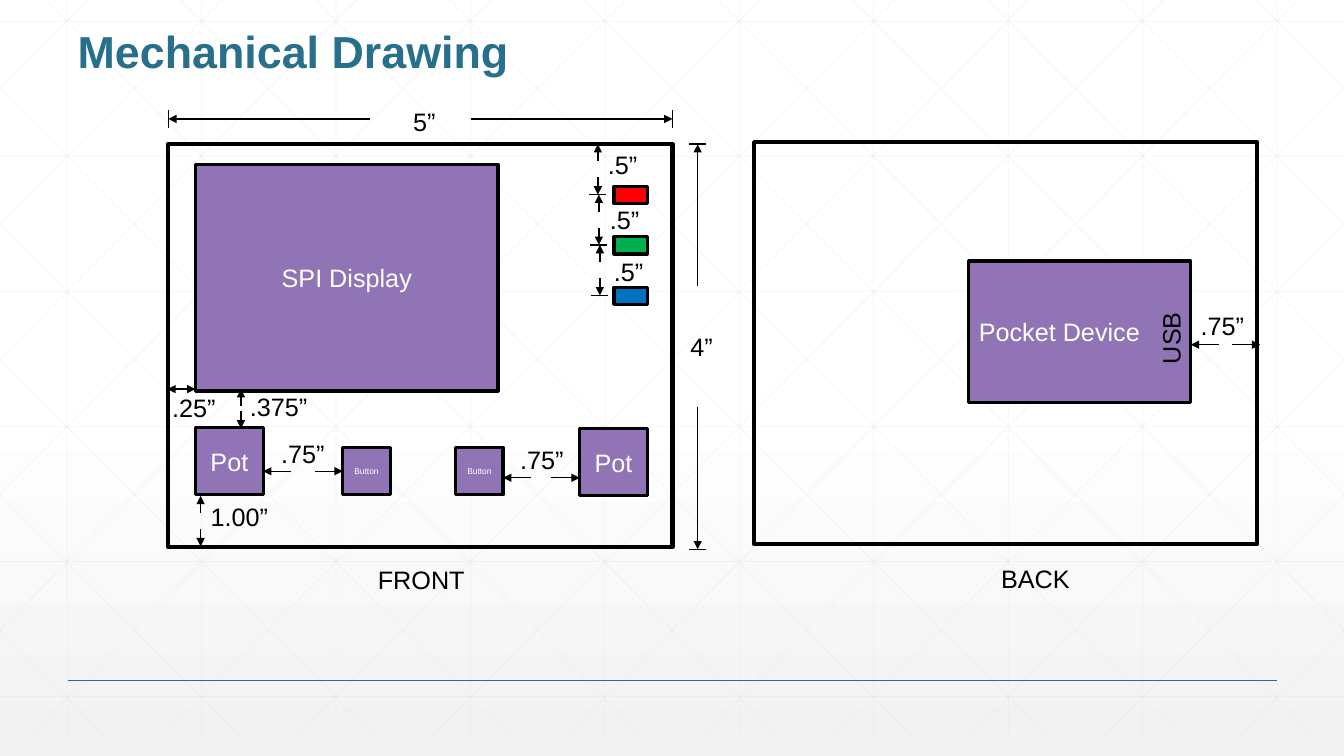
"""Build the slide with the front and back panel drawing."""
from dataclasses import dataclass

from lxml.etree import SubElement
from pptx import Presentation
from pptx.dml.color import RGBColor
from pptx.enum.shapes import MSO_CONNECTOR, MSO_SHAPE
from pptx.enum.text import MSO_ANCHOR, MSO_AUTO_SIZE, PP_ALIGN
from pptx.oxml.ns import qn
from pptx.util import Inches, Pt


@dataclass(frozen=True)
class Theme:
    """Hold the colours, font and type sizes of the slide."""
    font: str = "Arial"
    teal: str = "276F8B"
    purple: str = "9074B6"
    black: str = "000000"
    white: str = "FFFFFF"
    pale: str = "F2F2F2"
    gray: str = "D9D9D9"
    lamps: tuple = ("FF0000", "00B050", "0070C0")
    title: int = 32
    body: int = 18
    small: int = 6


THEME = Theme()
WIDE, HIGH = 13.33, 7.5
TOP = -0.21
STEP = 4 / 3
RUN = 7.45


def write(frame, text, size=THEME.body, color=THEME.black, bold=False,
          align=PP_ALIGN.LEFT, anchor=MSO_ANCHOR.TOP):
    """Put one formatted line of text in a frame."""
    frame.vertical_anchor = anchor
    line = frame.paragraphs[0]
    line.alignment = align
    run = line.add_run()
    run.text = text
    run.font.name = THEME.font
    run.font.size = Pt(size)
    run.font.bold = bold
    run.font.color.rgb = RGBColor.from_string(color)


def label(slide, text, left, top, width, turn=0):
    """Add a text box that fits a single line."""
    box = slide.shapes.add_textbox(Inches(left), Inches(top), Inches(width), Inches(0.4))
    box.rotation = turn
    box.text_frame.word_wrap = False
    box.text_frame.auto_size = MSO_AUTO_SIZE.SHAPE_TO_FIT_TEXT
    write(box.text_frame, text)


def block(slide, left, top, width, height, fill=None, weight=2.25, text="",
          size=THEME.body, align=PP_ALIGN.CENTER):
    """Add a black-edged rectangle, with or without fill and text."""
    part = slide.shapes.add_shape(MSO_SHAPE.RECTANGLE, Inches(left), Inches(top),
                                  Inches(width), Inches(height))
    part.shadow.inherit = False
    if fill:
        part.fill.solid()
        part.fill.fore_color.rgb = RGBColor.from_string(fill)
    else:
        part.fill.background()
    part.line.color.rgb = RGBColor.from_string(THEME.black)
    part.line.width = Pt(weight)
    if text:
        write(part.text_frame, text, size=size, color=THEME.white, align=align,
              anchor=MSO_ANCHOR.MIDDLE)
    return part


def stroke(slide, start, end, color=THEME.black, weight=1, alpha=None, arrow=False):
    """Draw a straight line, with an arrowhead at its start if asked."""
    line = slide.shapes.add_connector(MSO_CONNECTOR.STRAIGHT, *map(Inches, start + end))
    line.line.color.rgb = RGBColor.from_string(color)
    line.line.width = Pt(weight)
    edge = line.line._get_or_add_ln()
    if alpha:
        SubElement(edge.find(".//" + qn("a:srgbClr")), qn("a:alpha"), val=str(alpha * 1000))
    if arrow:
        SubElement(edge, qn("a:headEnd"), type="triangle")
    SubElement(edge.getparent(), qn("a:effectLst"))
    return line


def span(slide, start, end, arm, ticks=()):
    """Draw a measure: two arrows that point outward, and ticks at chosen ends."""
    flat = start[1] == end[1]
    dx, dy = (arm, 0) if flat else (0, arm)
    tx, ty = (0, 0.085) if flat else (0.085, 0)
    for x, y in ticks:
        stroke(slide, (x - tx, y - ty), (x + tx, y + ty))
    first = stroke(slide, start, (start[0] + dx, start[1] + dy), arrow=True)
    last = stroke(slide, end, (end[0] - dx, end[1] - dy), arrow=True)
    return first, last


def backdrop(slide):
    """Paint the gradient and the faint grid."""
    fill = slide.background.fill
    fill.gradient()
    fill.gradient_angle = 270
    for stop, color, place in zip(fill.gradient_stops, (THEME.white, THEME.pale), (0.53, 1)):
        stop.color.rgb = RGBColor.from_string(color)
        stop.position = place
    low = TOP + HIGH
    lines = [((x, TOP), (x, low)) for x in (STEP * (k + 0.5) for k in range(10))]
    lines += [((0, y), (WIDE, y)) for y in (0.21 + 1.34 * k for k in range(6))]
    for k in range(-5, 10):
        base = 0.25 + STEP * k
        left, right = max(base, 0), min(base + RUN, WIDE)
        high, deep = (TOP + (x - base) * HIGH / RUN for x in (left, right))
        lines.append(((left, high), (right, deep)))
        lines.append(((WIDE - left, high), (WIDE - right, deep)))
    for start, end in lines:
        stroke(slide, start, end, THEME.gray, 0.5, alpha=25)
    stroke(slide, (0.67, 6.75), (12.67, 6.75), THEME.teal)


def heading(slide, text):
    """Place the title above the grid."""
    title = slide.shapes.title
    title.left, title.top, title.width, title.height = map(Inches, (0.67, 0.25, 12, 1))
    write(title.text_frame, text, size=THEME.title, color=THEME.teal, bold=True)
    title.text_frame.paragraphs[0].line_spacing = 0.9
    slide.shapes._spTree.append(title._element)


def front(slide):
    """Draw the front panel with its parts and measures."""
    block(slide, 1.67, 1.43, 5, 4, weight=3)
    block(slide, 1.94, 1.63, 3, 2.25, THEME.purple, text="SPI Display")
    for left, top in ((1.94, 4.24), (5.75, 4.25)):
        block(slide, left, top, 0.67, 0.67, THEME.purple, text="Pot")
    keys = [block(slide, left, 4.44, 0.47, 0.47, THEME.purple, text="Button", size=THEME.small)
            for left in (3.4, 4.52)]

    for k, color in enumerate(THEME.lamps):
        block(slide, 6.09, 1.85 + 0.5 * k, 0.33, 0.17, color)
        x, y = 5.93 + 0.01 * k, 1.43 + 0.5 * k
        span(slide, (x, y), (x, y + 0.5), 0.17, [(x, y + 0.5)])
    for left, top in ((5.93, 1.43), (5.95, 1.98), (5.99, 2.49)):
        label(slide, ".5”", left, top, 0.5)

    for start, end, arm in (((1.67, 1.18), (6.67, 1.18), 2),
                            ((6.92, 1.43), (6.92, 5.45), 1.41)):
        span(slide, start, end, arm, [start, end])
    for x, high, low in ((2.39, 3.86, 4.25), (1.99, 4.92, 5.42)):
        span(slide, (x, high), (x, low), 0.17, [(x, low)])
    span(slide, (1.66, 3.86), (1.94, 3.86), 0.18)
    mid = 4.44 + 0.47 / 2
    _, last = span(slide, (2.61, mid), (3.4, mid), 0.28)
    last.begin_connect(keys[0], 1)
    span(slide, (4.99, 4.74), (5.75, 4.74), 0.28)

    for text, left, top, width in (
            ("5”", 4, 1.01, 0.43), ("4”", 6.75, 3.24, 0.43),
            (".25”", 1.61, 3.84, 0.64), (".375”", 2.38, 3.83, 0.78),
            (".75”", 2.69, 4.3, 0.64), (".75”", 5.06, 4.36, 0.64),
            ("1.00”", 1.99, 4.92, 0.78), ("FRONT", 3.65, 5.55, 1.07)):
        label(slide, text, left, top, width)


def back(slide):
    """Draw the back panel with its board."""
    block(slide, 7.48, 1.41, 4.99, 3.99, weight=3)
    block(slide, 9.61, 2.59, 2.2, 1.4, THEME.purple, text="Pocket Device",
          align=PP_ALIGN.LEFT)
    label(slide, "USB", 11.25, 3.15, 0.72, turn=270)
    span(slide, (11.81, 3.42), (12.5, 3.42), 0.28)
    label(slide, ".75”", 11.81, 3.03, 0.64)
    label(slide, "BACK", 9.83, 5.54, 0.89)


def main():
    """Build and save the deck."""
    deck = Presentation()
    deck.slide_width, deck.slide_height = Inches(WIDE), Inches(HIGH)
    slide = deck.slides.add_slide(deck.slide_layouts[5])
    backdrop(slide)
    heading(slide, "Mechanical Drawing")
    front(slide)
    back(slide)
    deck.save("out.pptx")


if __name__ == "__main__":
    main()
